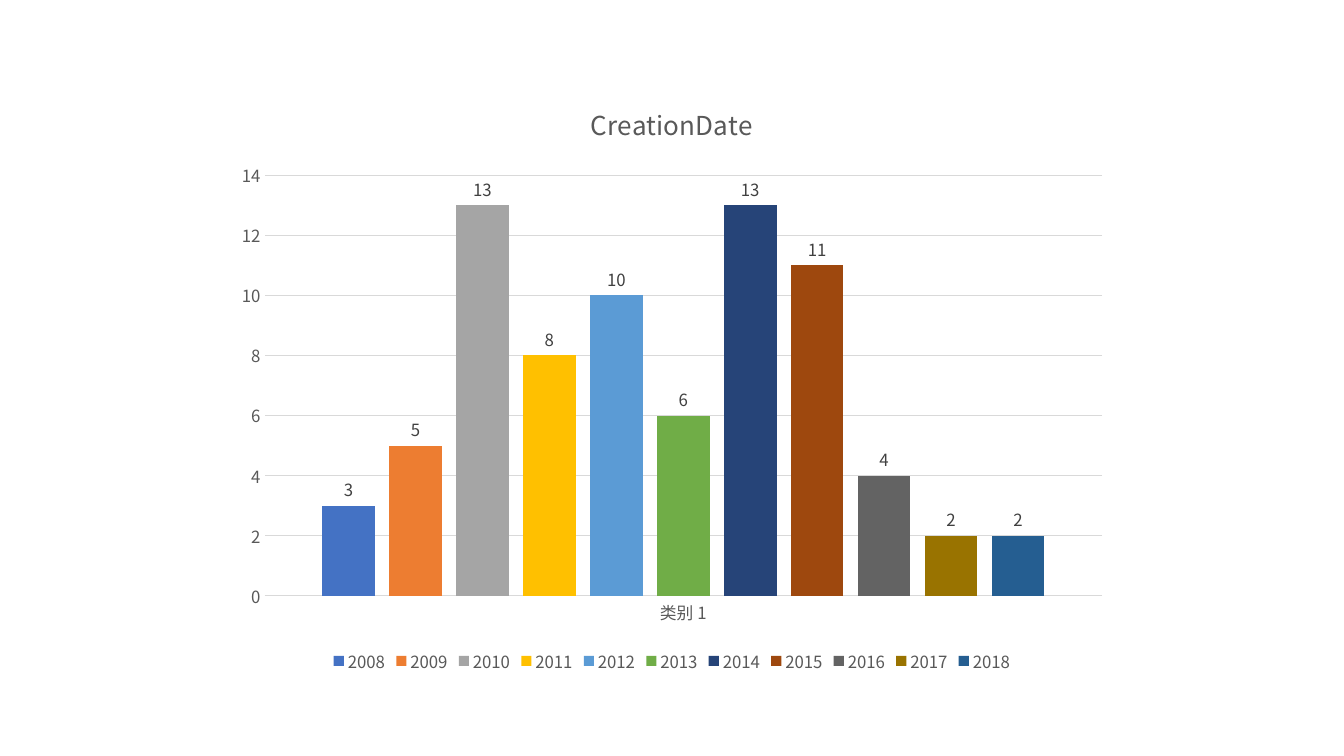
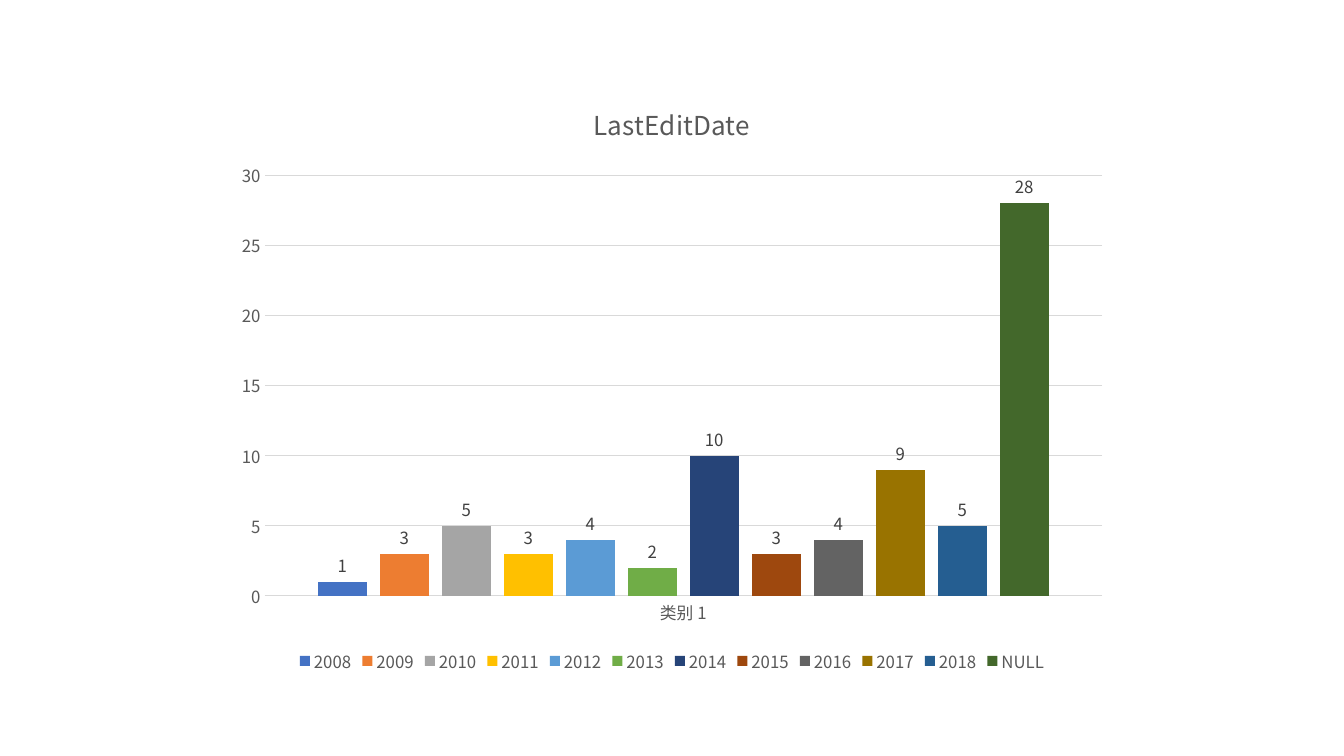
import dataclasses

import pptx
import pptx.chart.data
import pptx.dml.color
import pptx.enum.chart
import pptx.util

Pt = pptx.util.Pt


@dataclasses.dataclass(frozen=True)
class Theme:
    font: str = "Noto Sans CJK SC"
    title_size: float = 18.6
    text_size: float = 12
    text: str = "595959"
    label: str = "404040"
    rule: str = "D9D9D9"
    background: str = "FFFFFF"
    series: tuple = (
        "4472C4", "ED7D31", "A5A5A5", "FFC000", "5B9BD5", "70AD47",
        "264478", "9E480E", "636363", "997300", "255E91", "43682B",
    )


def rgb(value):
    return pptx.dml.color.RGBColor.from_string(value)


class Deck:
    """Holds the theme, the presentation and the current slide."""

    def __init__(self, theme):
        self.theme = theme
        self.presentation = pptx.Presentation()
        self.presentation.slide_width = Pt(960)
        self.presentation.slide_height = Pt(540)
        self.slide = None

    def add_slide(self):
        blank = self.presentation.slide_layouts[6]
        self.slide = self.presentation.slides.add_slide(blank)
        fill = self.slide.background.fill
        fill.solid()
        fill.fore_color.rgb = rgb(self.theme.background)

    def style_font(self, font, size, color):
        font.name = self.theme.font
        font.size = Pt(size)
        font.bold = False
        font.color.rgb = rgb(color)

    def style_line(self, line):
        line.color.rgb = rgb(self.theme.rule)
        line.width = Pt(0.75)

    def add_column_chart(self, title, category, counts):
        theme = self.theme
        data = pptx.chart.data.CategoryChartData()
        data.categories = [category]
        for name, count in counts.items():
            data.add_series(name, [count])
        chart = self.slide.shapes.add_chart(
            pptx.enum.chart.XL_CHART_TYPE.COLUMN_CLUSTERED,
            Pt(160), Pt(57), Pt(640), Pt(427), data,
        ).chart
        self.style_font(chart.font, theme.text_size, theme.text)

        # Title and legend
        chart.has_title = True
        chart.chart_title.include_in_layout = False
        text_frame = chart.chart_title.text_frame
        text_frame.text = title
        run = text_frame.paragraphs[0].runs[0]
        self.style_font(run.font, theme.title_size, theme.text)
        chart.has_legend = True
        chart.legend.position = pptx.enum.chart.XL_LEGEND_POSITION.BOTTOM
        chart.legend.include_in_layout = False
        self.style_font(chart.legend.font, theme.text_size, theme.text)

        # Axes
        for axis in (chart.category_axis, chart.value_axis):
            axis.major_tick_mark = pptx.enum.chart.XL_TICK_MARK.NONE
            axis.minor_tick_mark = pptx.enum.chart.XL_TICK_MARK.NONE
            self.style_font(axis.tick_labels.font, theme.text_size, theme.text)
        self.style_line(chart.category_axis.format.line)
        chart.value_axis.format.line.fill.background()
        self.style_line(chart.value_axis.major_gridlines.format.line)

        # Columns and their values
        plot = chart.plots[0]
        plot.vary_by_categories = False
        plot.gap_width = 219
        plot.overlap = -27
        for series, color in zip(plot.series, theme.series):
            series.format.fill.solid()
            series.format.fill.fore_color.rgb = rgb(color)
            labels = series.data_labels
            labels.show_value = True
            labels.position = pptx.enum.chart.XL_LABEL_POSITION.OUTSIDE_END
            self.style_font(labels.font, theme.text_size, theme.label)


def yearly_counts(*counts):
    return {str(year): count for year, count in enumerate(counts, 2008)}


def main():
    charts = {
        "CreationDate": yearly_counts(3, 5, 13, 8, 10, 6, 13, 11, 4, 2, 2),
        "LastEditDate": yearly_counts(1, 3, 5, 3, 4, 2, 10, 3, 4, 9, 5)
        | {"NULL": 28},
    }
    deck = Deck(Theme())
    for title, counts in charts.items():
        deck.add_slide()
        deck.add_column_chart(title, "类别 1", counts)
    deck.presentation.save("out.pptx")


if __name__ == "__main__":
    main()
